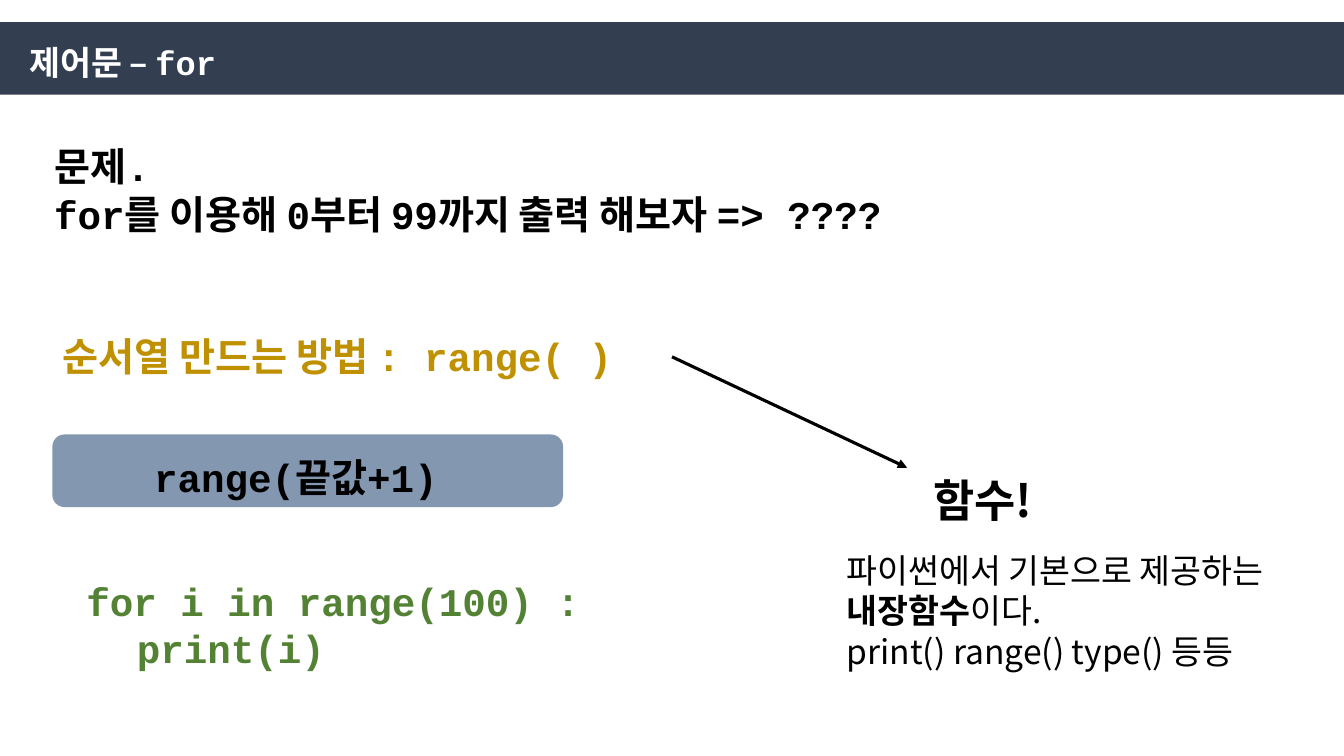
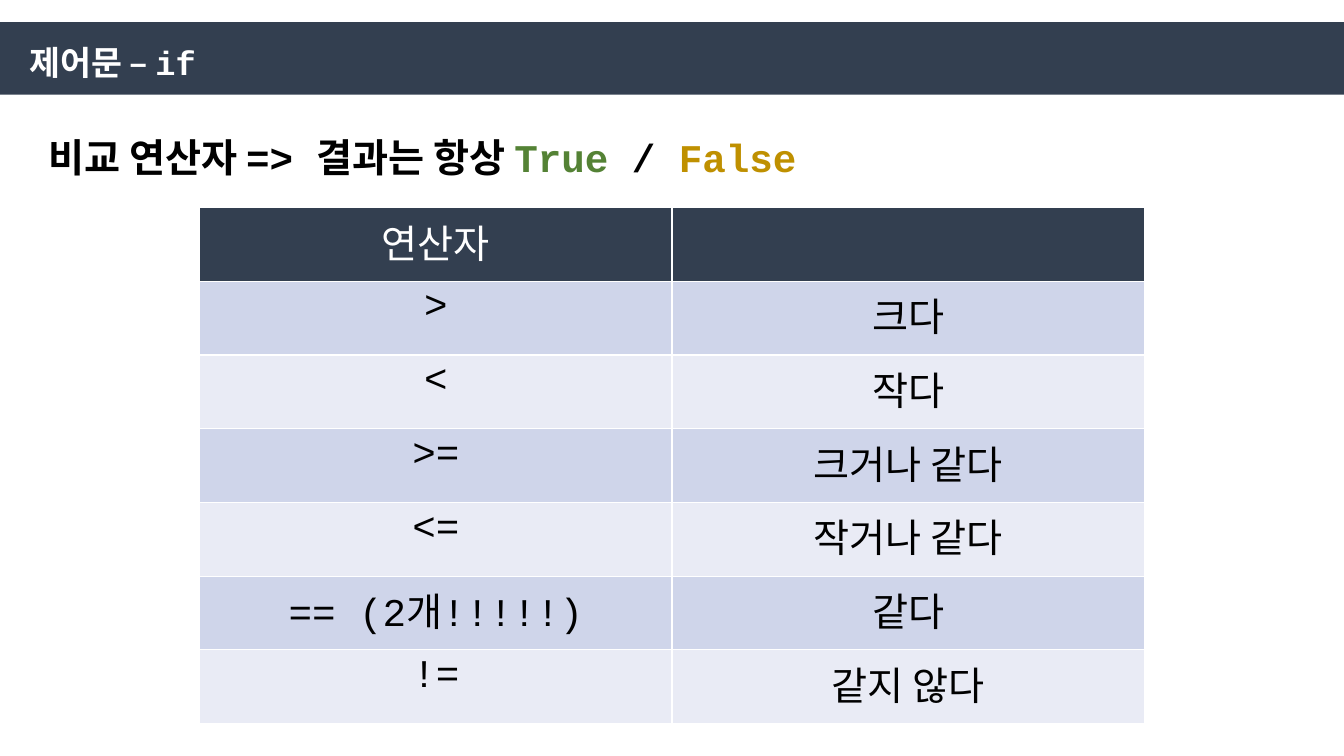
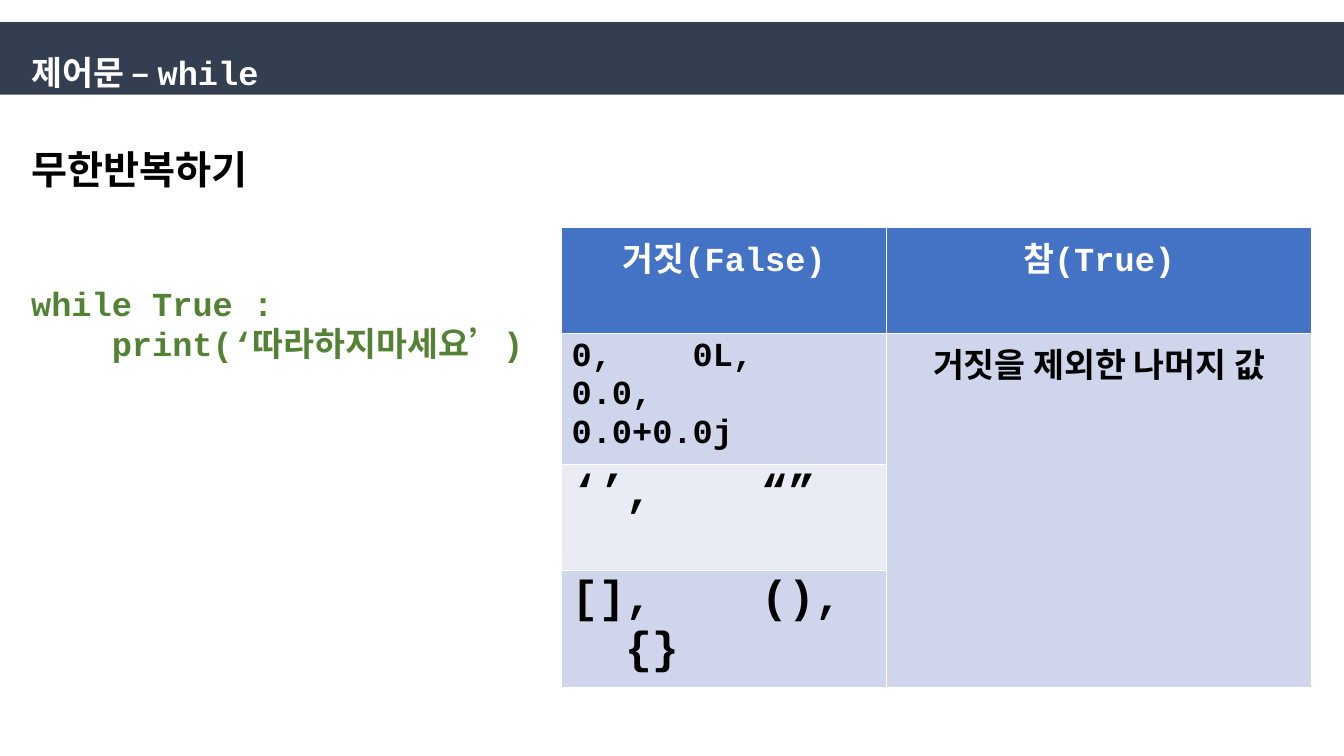
from lxml import etree
from pptx import Presentation
from pptx.dml.color import RGBColor
from pptx.enum.shapes import MSO_CONNECTOR, MSO_SHAPE
from pptx.enum.text import MSO_ANCHOR, MSO_AUTO_SIZE, PP_ALIGN
from pptx.oxml.ns import qn
from pptx.util import Inches, Pt

RECT, ROUNDED = MSO_SHAPE.RECTANGLE, MSO_SHAPE.ROUNDED_RECTANGLE
STRAIGHT = MSO_CONNECTOR.STRAIGHT
LEFT, CENTER = PP_ALIGN.LEFT, PP_ALIGN.CENTER
TOP, NO_FIT = MSO_ANCHOR.TOP, MSO_AUTO_SIZE.NONE

WIDTH, HEIGHT = Inches(13.33), Inches(7.5)
CODE_FONT, KOREAN_FONT = "Courier New", "Noto Sans CJK KR"
LINE_RATIO = 1.21
TITLE_ONLY = 5

WHITE = RGBColor(0xFF, 0xFF, 0xFF)
BLACK = RGBColor(0x00, 0x00, 0x00)
NAVY = RGBColor(0x33, 0x3F, 0x50)
SLATE = RGBColor(0x84, 0x97, 0xB0)
GOLD = RGBColor(0xBF, 0x90, 0x00)
GREEN = RGBColor(0x54, 0x82, 0x35)
BLUE = RGBColor(0x44, 0x72, 0xC4)
BANDS = (RGBColor(0xE9, 0xEB, 0xF5), RGBColor(0xCF, 0xD5, 0xEA))


def across(share):
    """Convert a percentage of the slide width to a length."""
    return int(WIDTH * share / 100)


def down(share):
    """Convert a percentage of the slide height to a length."""
    return int(HEIGHT * share / 100)


def box(x, y, w, h):
    """Convert four percentages to left, top, width and height."""
    return across(x), down(y), across(w), down(h)


def style_run(r, size, color, bold=True, font=CODE_FONT):
    """Format a run for Latin and Korean text."""
    r.font.size = Pt(size)
    r.font.color.rgb = color
    r.font.bold = bold
    r.font.name = font
    east_asian = etree.SubElement(r._r.get_or_add_rPr(), qn("a:ea"))
    east_asian.set("typeface", KOREAN_FONT)


def style_frame(tf):
    """Give a text frame the common wrapping, anchor and margins."""
    tf.word_wrap = True
    tf.auto_size = NO_FIT
    tf.vertical_anchor = TOP
    tf.margin_left = tf.margin_right = Inches(0.1)
    tf.margin_top, tf.margin_bottom = Inches(0.09), Inches(0.01)


def style_paragraph(p, size, color, bold=True, font=CODE_FONT):
    """Set the line pitch of a paragraph and format its runs."""
    p.alignment = LEFT
    p.line_spacing = Pt(round(size * LINE_RATIO))
    for r in p.runs:
        style_run(r, size, color, bold, font)


def add_text(s, area, lines, size, color=BLACK, bold=True, font=CODE_FONT):
    """Add a text box with one paragraph per line and return its frame."""
    tf = s.shapes.add_textbox(*box(*area)).text_frame
    tf.text = "\n".join(lines)
    style_frame(tf)
    for p in tf.paragraphs:
        style_paragraph(p, size, color, bold, font)
    return tf


def add_parts(p, parts, size):
    """Append coloured runs to a paragraph."""
    for text, color in parts:
        r = p.add_run()
        r.text = text
        style_run(r, size, color)


def add_block(s, kind, area, color):
    """Add a plain filled shape."""
    sp = s.shapes.add_shape(kind, *box(*area))
    sp.shadow.inherit = False
    sp.fill.solid()
    sp.fill.fore_color.rgb = color
    sp.line.fill.background()
    return sp


def add_arrow(s, x1, y1, x2, y2):
    """Add a black line with an arrowhead at its end."""
    line = s.shapes.add_connector(STRAIGHT, across(x1), down(y1), across(x2), down(y2))
    line.line.color.rgb = BLACK
    line.line.width = Pt(2.25)
    etree.SubElement(line.line._get_or_add_ln(), qn("a:tailEnd")).set("type", "triangle")
    etree.SubElement(line.element.spPr, qn("a:effectLst"))


def add_slide(prs, title, x=1.42, y=4.27):
    """Add a slide with the navy band and its title."""
    s = prs.slides.add_slide(prs.slide_layouts[TITLE_ONLY])
    sp = s.shapes.title
    sp.left, sp.top, sp.width, sp.height = box(x, y, 74.4, 12.13)
    sp.text_frame.text = title
    style_frame(sp.text_frame)
    style_paragraph(sp.text_frame.paragraphs[0], 24, WHITE)
    band = add_block(s, RECT, (0, 2.93, 100, 9.6), NAVY)
    sp.element.addprevious(band.element)
    return s


def add_grid(s, x, y, widths, heights, rows, header, size, bold):
    """Add a banded table with a coloured header row."""
    area = box(x, y, sum(widths), sum(heights))
    table = s.shapes.add_table(len(heights), len(widths), *area).table
    for column, width in zip(table.columns, widths):
        column.width = across(width)
    for i, (height, texts) in enumerate(zip(heights, rows)):
        table.rows[i].height = down(height)
        for cell, text in zip(table.rows[i].cells, texts):
            cell.fill.solid()
            cell.fill.fore_color.rgb = BANDS[i % 2] if i else header
            p = cell.text_frame.paragraphs[0]
            p.text = text
            p.alignment = CENTER
            for r in p.runs:
                style_run(r, size, BLACK if i else WHITE, bold)
    return table


def set_tabs(p, stops):
    """Set left tab stops, given in inches."""
    tabs = etree.SubElement(p._p.get_or_add_pPr(), qn("a:tabLst"))
    for stop in stops:
        etree.SubElement(tabs, qn("a:tab"), pos=str(Inches(stop)), algn="l")


def for_slide(prs):
    """Build the slide on for and range."""
    s = add_slide(prs, "제어문 – for")
    add_text(s, (3.3, 17.6, 89, 13.87),
             ["문제.", "for를 이용해 0부터 99까지 출력 해보자 => ????"], 28)
    add_text(s, (3.9, 42.67, 76.6, 7.6), ["순서열 만드는 방법 : range( )"], 28, GOLD)
    add_arrow(s, 50, 47.2, 67.5, 61.87)
    add_text(s, (68.7, 61.2, 14.25, 8.53), ["함수!"], 32, font=KOREAN_FONT)
    add_block(s, ROUNDED, (3.9, 57.47, 38, 9.6), SLATE)
    add_text(s, (10.73, 58.67, 32.55, 7.6), ["range(끝값+1)"], 28)
    tf = add_text(s, (62.25, 71.47, 36.5, 17.47),
                  ["파이썬에서 기본으로 제공하는 ", "print() range() type() 등등"],
                  24, bold=False, font=KOREAN_FONT)
    for text, bold in (("내장함수", True), ("이다.", False)):
        r = tf.paragraphs[0].add_run()
        r.text = text
        style_run(r, 24, BLACK, bold, KOREAN_FONT)
    add_text(s, (5.7, 75.07, 54.45, 13.87), ["for i in range(100) :", "\tprint(i)"], 28, GREEN)


def if_slide(prs):
    """Build the slide on comparison operators."""
    s = add_slide(prs, "제어문 – if")
    tf = add_text(s, (2.85, 16.4, 85.35, 7.6), ["비교 연산자 => 결과는 항상 "], 28)
    add_parts(tf.paragraphs[0], [("True", GREEN), (" / ", BLACK), ("False", GOLD)], 28)
    rows = [("연산자", ""), (">", "크다"), ("<", "작다"), (">=", "크거나 같다"),
            ("<=", "작거나 같다"), ("== (2개!!!!!)", "같다"), ("!=", "같지 않다")]
    add_grid(s, 14.85, 27.47, [35.15] * 2, [9.75] * len(rows), rows, NAVY, 28, False)


def while_slide(prs):
    """Build the slide on endless loops and truth values."""
    s = add_slide(prs, "제어문 – while", 1.58, 5.6)
    tf = add_text(s, (1.58, 18, 49.2, 34.53),
                  ["무한반복하기", "while True :", "print(‘따라하지마세요’)"], 24, GREEN)
    heading, loop, body = tf.paragraphs
    heading.line_spacing = Pt(round(28 * LINE_RATIO))
    heading.runs[0].font.size = Pt(28)
    heading.runs[0].font.color.rgb = BLACK
    heading.runs[0].font.name = KOREAN_FONT
    loop.space_before = Pt(64)
    body._p.get_or_add_pPr().set("marL", str(Inches(0.8)))
    rows = [("거짓(False)", "참(True)"),
            ("0,\t0L,\v0.0,\v0.0+0.0j", "거짓을 제외한 나머지 값"),
            ("‘’,\t“”", ""),
            ("[],\t(),\v\t{}", "")]
    table = add_grid(s, 41.78, 30.13, [24.2, 31.6], [14, 17.33, 14, 15.47],
                     rows, BLUE, 24, True)
    table.cell(1, 1).merge(table.cell(3, 1))
    for row, size, stops in ((1, 24, [1.2]), (2, 32, [0.53, 1.88]), (3, 32, [0.53, 1.88])):
        p = table.cell(row, 0).text_frame.paragraphs[0]
        p.alignment = LEFT
        set_tabs(p, stops)
        for r in p.runs:
            r.font.size = Pt(size)


def main():
    """Build and save the presentation."""
    prs = Presentation()
    prs.slide_width, prs.slide_height = WIDTH, HEIGHT
    for_slide(prs)
    if_slide(prs)
    while_slide(prs)
    prs.save("out.pptx")


main()
